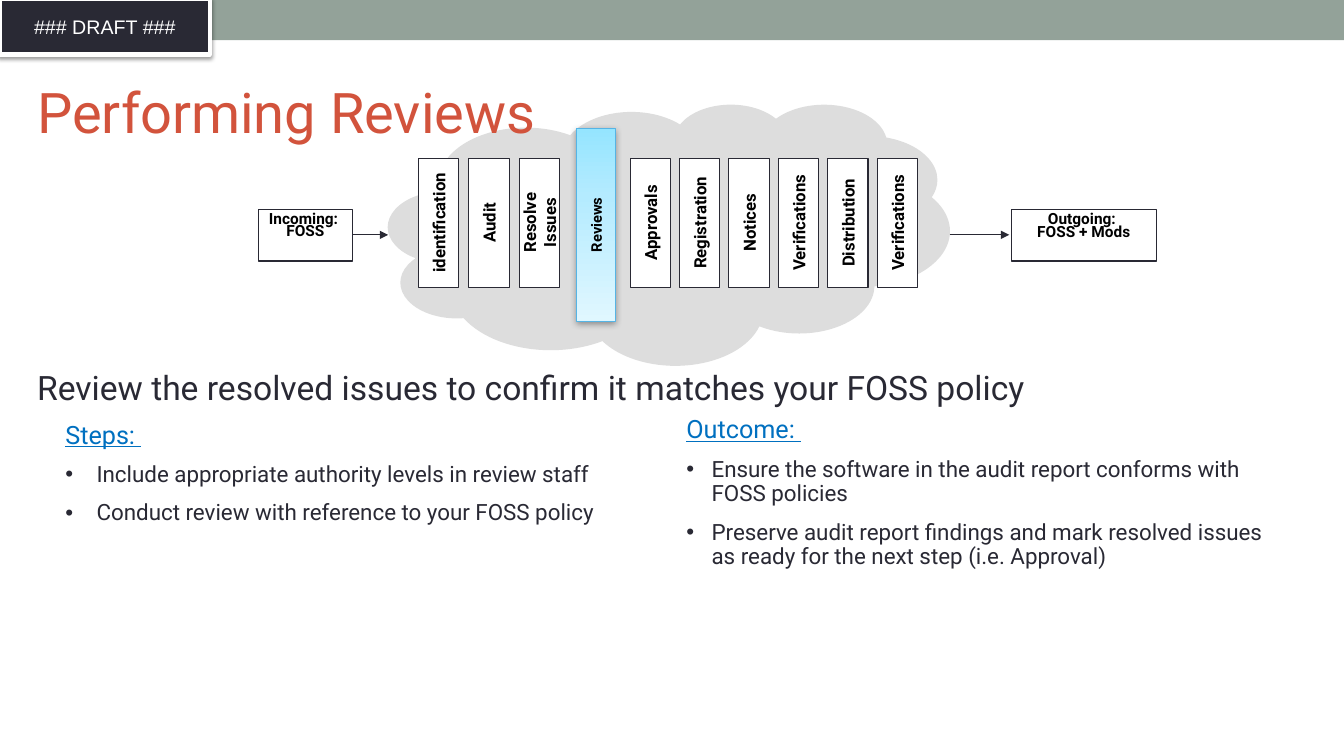
from copy import deepcopy

from lxml import etree
from pptx import Presentation
from pptx.dml.color import RGBColor
from pptx.enum.shapes import MSO_CONNECTOR, MSO_SHAPE
from pptx.enum.text import MSO_ANCHOR, PP_ALIGN
from pptx.oxml.ns import qn
from pptx.util import Inches, Pt

RECTANGLE, CLOUD = MSO_SHAPE.RECTANGLE, MSO_SHAPE.CLOUD_CALLOUT
STRAIGHT = MSO_CONNECTOR.STRAIGHT
LEFT, CENTER = PP_ALIGN.LEFT, PP_ALIGN.CENTER
TOP, MIDDLE = MSO_ANCHOR.TOP, MSO_ANCHOR.MIDDLE

WIDTH, HEIGHT = 13.33, 7.5
INK, WHITE, BLACK = "292934", "FFFFFF", "000000"
SAGE, RUST, LINK_BLUE, CLOUD_GRAY = "93A299", "D2533C", "0070C0", "DDDDDD"
GLOW_STOPS = [(0, "95E5FF"), (0.35, "B4EBFF"), (1, "E0F7FF")]
GLOW_EDGE = "55B4E5"

STEPS_BEFORE = ["identification", "Audit", "Resolve Issues"]
STEPS_AFTER = ["Approvals", "Registration", "Notices", "Verifications",
               "Distribution", "Verifications"]
STEP_LENGTH, STEP_THICKNESS = 1.28, 0.4


def color(hex_text):
    return RGBColor.from_string(hex_text)


def add_element(parent, tag, **attributes):
    element = etree.SubElement(parent, qn(tag))
    for name, value in attributes.items():
        element.set(name, str(value))
    return element


def centered(x, y, width, height):
    return x - width / 2, y - height / 2, width, height


def add_box(page, area, fill=None, line=None, line_width=0.75, kind=RECTANGLE, rotation=0):
    box = page.shapes.add_shape(kind, *map(Inches, area))
    box.rotation = rotation
    box.shadow.inherit = False
    if fill:
        box.fill.solid()
        box.fill.fore_color.rgb = color(fill)
    if line:
        box.line.color.rgb = color(line)
        box.line.width = Pt(line_width)
    else:
        box.line.fill.background()
    return box


def add_text_box(page, area, rotation=0):
    box = page.shapes.add_textbox(*map(Inches, area))
    box.rotation = rotation
    return box


def add_shadow(box, blur, distance):
    """Fill the empty effect list with a soft shadow that falls downwards."""
    effects = box._element.spPr.find(qn("a:effectLst"))
    shadow = add_element(effects, "a:outerShdw", blurRad=Pt(blur), dist=Pt(distance),
                         dir=90 * 60000, rotWithShape=0)
    add_element(add_element(shadow, "a:srgbClr", val=BLACK), "a:alpha", val=38000)


def add_bullet(para, indent):
    properties = para._p.get_or_add_pPr()
    properties.set("marL", str(Inches(indent)))
    properties.set("indent", str(-Inches(indent)))
    add_element(add_element(properties, "a:buClr"), "a:srgbClr", val=INK)
    add_element(properties, "a:buFont", typeface="Arial")
    add_element(properties, "a:buChar", char="•")


def write(box, text, size=16, fill=INK, font="Roboto", bold=False, underline=False,
          align=LEFT, anchor=TOP, spacing=1.0, before=0, indent=0):
    """Add one paragraph to the box, using its first paragraph if still empty."""
    frame = box.text_frame
    frame.word_wrap = True
    frame.vertical_anchor = anchor
    para = frame.add_paragraph() if frame.text else frame.paragraphs[0]
    para.alignment = align
    para.line_spacing = spacing
    para.space_before = Pt(before)
    if indent:
        add_bullet(para, indent)
    span = para.add_run()
    span.text = text
    span.font.name, span.font.size = font, Pt(size)
    span.font.bold, span.font.underline = bold, underline
    span.font.color.rgb = color(fill)


def add_arrow(page, start, end, y):
    arrow = page.shapes.add_connector(STRAIGHT, *map(Inches, (start, y, end, y)))
    arrow.line.color.rgb = color(INK)
    arrow.line.width = Pt(0.75)
    add_element(arrow.line._get_or_add_ln(), "a:tailEnd", type="triangle")
    add_element(arrow._element.spPr, "a:effectLst")


def add_header(page, area):
    left, top, width, height = area
    add_box(page, area, SAGE)
    draft = add_box(page, (left, top - 0.01, 2.08, 0.55), INK, WHITE, 3)
    add_shadow(draft, 3.1, 1.6)
    write(draft, "### DRAFT ###", 14, WHITE, "Arial", align=CENTER, anchor=MIDDLE)


def add_steps(page, names, first_x, pitch, y):
    for index, name in enumerate(names):
        area = centered(first_x + index * pitch, y, STEP_LENGTH, STEP_THICKNESS)
        step = add_box(page, area, WHITE, INK, rotation=270)
        write(step, name, 12, BLACK, bold=True, align=CENTER, anchor=MIDDLE)


def add_current_step(page, name, x, y, width, height):
    bar = add_box(page, centered(x, y, width, height), line=GLOW_EDGE, rotation=180)
    bar.fill.gradient()
    bar.fill.gradient_angle = 90
    stop_list = bar._element.spPr.find(".//" + qn("a:gsLst"))
    stop_list.append(deepcopy(stop_list[0]))
    for stop, (position, shade) in zip(bar.fill.gradient_stops, GLOW_STOPS):
        stop.position = position
        stop.color.rgb = color(shade)
    add_shadow(bar, 5, 1.6)
    label = add_text_box(page, centered(x, y, height, width), rotation=270)
    write(label, name, 10.5, BLACK, bold=True, align=CENTER, anchor=MIDDLE)


def add_endpoint(page, area, lines, spacing):
    box = add_box(page, area, WHITE, INK)
    for line in lines:
        write(box, line, 11, BLACK, bold=True, align=CENTER, spacing=spacing)


def add_process(page, area):
    """Draw the cloud in the area, its steps inside and its endpoints beside it."""
    left, top, width, height = area
    right, arrow_y, step_y = left + width, top + 1.3, top + 1.18
    cloud = add_box(page, area, CLOUD_GRAY, kind=CLOUD)
    cloud.adjustments[0], cloud.adjustments[1] = -0.007, 0.116
    add_arrow(page, right, right + 0.59, arrow_y)
    add_current_step(page, "Reviews", left + 2.06, step_y + 0.02, 0.38, 1.91)
    add_steps(page, STEPS_BEFORE, left + 0.5, 0.5, step_y)
    add_steps(page, STEPS_AFTER, left + 2.6, 0.49, step_y)
    add_endpoint(page, (left - 1.29, top + 1.05, 0.94, 0.51), ["Incoming: ", "FOSS"], 0.65)
    add_arrow(page, left - 0.35, left, arrow_y)
    add_endpoint(page, (right + 0.61, top + 1.05, 1.44, 0.51),
                 ["Outgoing: ", "FOSS + Mods"], 0.7)


def add_bullet_column(page, area, heading, bullets, indent):
    box = add_text_box(page, area)
    write(box, heading, 18, LINK_BLUE, underline=True, spacing=0.9)
    for bullet in bullets:
        write(box, bullet, spacing=0.9, before=10, indent=indent)


def main():
    deck = Presentation()
    deck.slide_width, deck.slide_height = Inches(WIDTH), Inches(HEIGHT)
    page = deck.slides.add_slide(deck.slide_layouts[6])
    add_header(page, (0, 0, WIDTH, 0.4))
    add_process(page, (3.85, 1.03, 5.57, 2.59))
    add_bullet_column(page, (6.71, 4.09, 5.94, 3.1), "Outcome: ", [
        "Ensure the software in the audit report conforms with FOSS policies",
        "Preserve audit report findings and mark resolved issues as ready "
        "for the next step (i.e. Approval)"], 0.25)
    add_bullet_column(page, (0.55, 4.14, 5.86, 3.03), "Steps: ", [
        "Include appropriate authority levels in review staff",
        "Conduct review with reference to your FOSS policy"], 0.31)
    summary = add_text_box(page, (0.27, 3.59, WIDTH - 0.27, 0.5))
    write(summary, "Review the resolved issues to confirm it matches your FOSS policy", 24)
    title = add_text_box(page, (0.27, 0.56, 12, 1.08))
    write(title, "Performing Reviews", 40, RUST, anchor=MIDDLE)
    deck.save("out.pptx")


if __name__ == "__main__":
    main()
